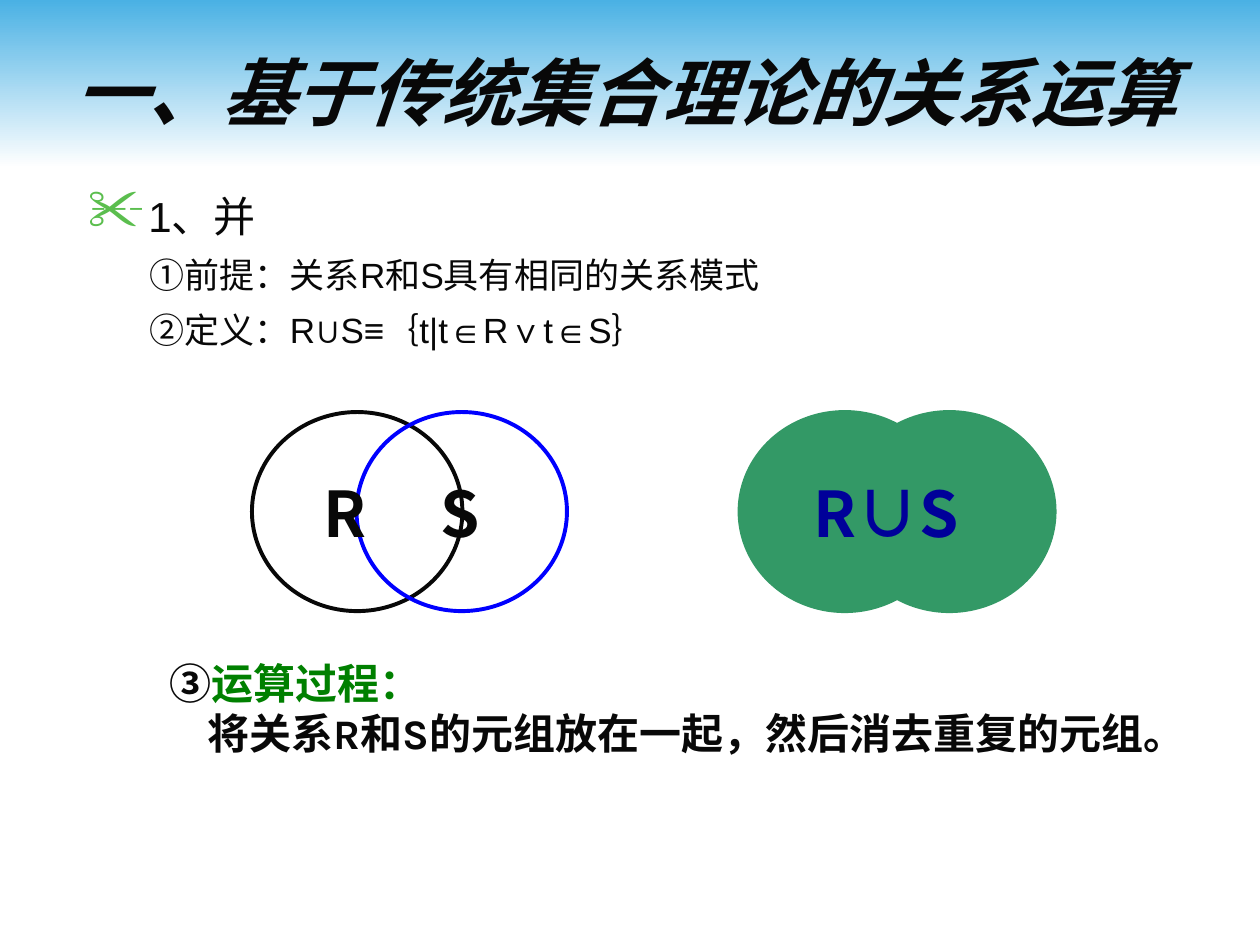
import pptx
import pptx.util
from lxml import etree
from pptx.dml.color import RGBColor
from pptx.enum.shapes import MSO_SHAPE
from pptx.enum.text import MSO_ANCHOR, PP_ALIGN
from pptx.oxml.ns import qn
from pptx.util import Inches, Pt

INK = RGBColor(0x08, 0x08, 0x08)
SKY = RGBColor(0x4A, 0xB1, 0xE4)
WHITE = RGBColor(0xFF, 0xFF, 0xFF)
BLUE = RGBColor(0x00, 0x00, 0xFF)
NAVY = RGBColor(0x00, 0x00, 0x99)
SEA_GREEN = RGBColor(0x33, 0x99, 0x66)
GREEN = RGBColor(0x00, 0x80, 0x00)
BULLET_GREEN = "5BBE4E"
CJK = "Noto Sans CJK SC"

TITLE = "一、基于传统集合理论的关系运算"
HEADING = "1、并"
POINTS = ["①前提：关系R和S具有相同的关系模式", "②定义：R∪S≡｛t|t∈R∨t∈S｝"]
PROCESS = [
    [("③", INK), ("运算过程：", GREEN)],
    [("将关系R和S的元组放在一起，然后消去重复的元组。", INK)],
]
# left edge of the first circle, then (outline, fill) of each circle
VENN_PAIRS = [
    (2.0, [(INK, None), (BLUE, None)]),
    (5.87, [(SEA_GREEN, SEA_GREEN), (SEA_GREEN, SEA_GREEN)]),
]
# text, left, top, width, height, colour, alignment
VENN_LABELS = [
    ("R\tS", 2.47, 3.72, 1.82, 0.7, INK, PP_ALIGN.LEFT),
    ("R∪S", 6.21, 3.72, 1.65, 0.7, NAVY, PP_ALIGN.CENTER),
]
CIRCLE_TOP, CIRCLE_WIDTH, CIRCLE_HEIGHT, CIRCLE_STEP = 3.27, 1.67, 1.58, 0.83
LABEL_TAB = 0.93


def add_text_box(parent, left, top, width, height):
    box = parent.shapes.add_textbox(*map(Inches, (left, top, width, height)))
    box.text_frame.word_wrap = True
    return box.text_frame


def add_span(paragraph, text, size, color, font=CJK, bold=False, italic=False):
    span = paragraph.add_run()
    span.text = text
    span.font.name = font
    span.font.size = Pt(size)
    span.font.bold = bold
    span.font.italic = italic
    span.font.color.rgb = color
    etree.SubElement(span.font._element, qn("a:ea"), typeface=CJK)


def set_indent(paragraph, margin, first_line):
    properties = paragraph._p.get_or_add_pPr()
    properties.set("marL", str(Inches(margin)))
    properties.set("indent", str(Inches(first_line)))
    return properties


def next_paragraph(frame, index):
    return frame.add_paragraph() if index else frame.paragraphs[0]


deck = pptx.Presentation()
deck.slide_width, deck.slide_height = Inches(10), Inches(7.5)
page = deck.slides.add_slide(deck.slide_layouts[6])

band = page.shapes.add_shape(MSO_SHAPE.RECTANGLE, 0, 0, Inches(10), Inches(1.33))
band.shadow.inherit = False
band.line.fill.background()
band.fill.gradient()
band.fill.gradient_angle = 270
for stop, color in zip(band.fill.gradient_stops, (SKY, WHITE)):
    stop.color.rgb = color

title = add_text_box(page, 0.43, 0.25, 9.07, 0.95)
title.vertical_anchor = MSO_ANCHOR.MIDDLE
title.paragraphs[0].alignment = PP_ALIGN.CENTER
add_span(title.paragraphs[0], TITLE, 42, INK, "Arial", bold=True, italic=True)

body = add_text_box(page, 0.5, 1.42, 9, 3.42)
for index, text in enumerate([HEADING] + POINTS):
    paragraph = next_paragraph(body, index)
    paragraph.line_spacing = 1.1
    if index:
        paragraph.level = 1
        paragraph.space_before = Pt(5)
        set_indent(paragraph, 0.9, -0.31)
        # the lines start at the hanging indent, without a bullet
        etree.SubElement(paragraph._p.get_or_add_pPr(), qn("a:buNone"))
    else:
        properties = set_indent(paragraph, 0.58, -0.48)
        bullet_color = etree.SubElement(properties, qn("a:buClr"))
        etree.SubElement(bullet_color, qn("a:srgbClr"), val=BULLET_GREEN)
        etree.SubElement(properties, qn("a:buSzPct"), val="140000")
        etree.SubElement(properties, qn("a:buChar"), char="✂")
    add_span(paragraph, text, 20 if index else 24, INK, "Arial")

venn_groups = [page.shapes.add_group_shape() for _ in VENN_PAIRS]


def add_label(group, text, left, top, width, height, color, alignment):
    label = add_text_box(group, left, top, width, height).paragraphs[0]
    label.alignment = alignment
    if "\t" in text:
        tabs = etree.SubElement(label._p.get_or_add_pPr(), qn("a:tabLst"))
        etree.SubElement(tabs, qn("a:tab"), pos=str(Inches(LABEL_TAB)), algn="l")
    add_span(label, text, 36, color, bold=True)


def add_circles(group, left, styles):
    for index, (outline, fill) in enumerate(styles):
        circle = group.shapes.add_shape(
            MSO_SHAPE.OVAL, Inches(left + index * CIRCLE_STEP), Inches(CIRCLE_TOP),
            Inches(CIRCLE_WIDTH), Inches(CIRCLE_HEIGHT))
        circle.shadow.inherit = False
        circle.line.color.rgb = outline
        circle.line.width = Pt(2.25)
        if fill is None:
            circle.fill.background()
        else:
            circle.fill.solid()
            circle.fill.fore_color.rgb = fill


for group, (left, styles), label in zip(venn_groups, VENN_PAIRS, VENN_LABELS):
    add_circles(group, left, styles)
    add_label(group, *label)

process = add_text_box(page, 0.75, 5.17, 8.43, 1.3)
for index, parts in enumerate(PROCESS):
    paragraph = next_paragraph(process, index)
    paragraph.level = 1
    set_indent(paragraph, 0.5, 0.3 * index)
    for text, color in parts:
        add_span(paragraph, text, 24, color, "Karla", bold=True)

deck.save("out.pptx")
